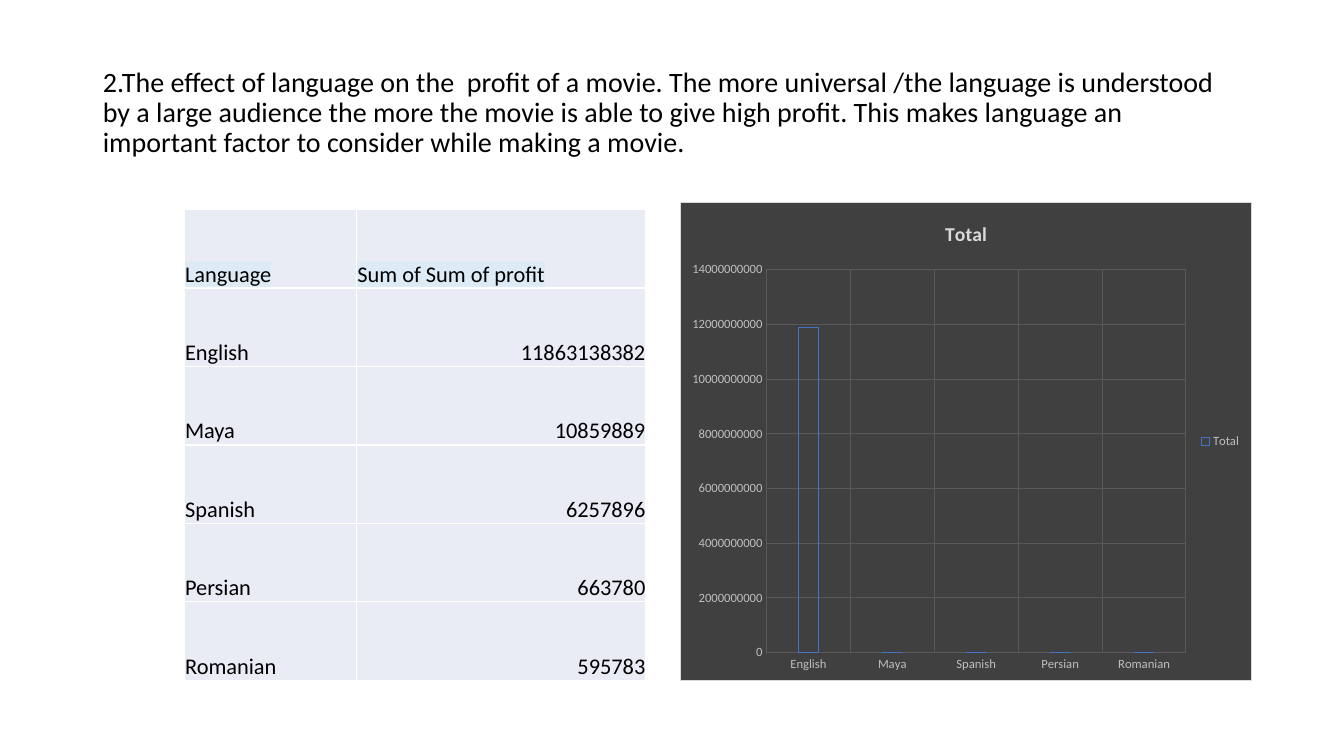
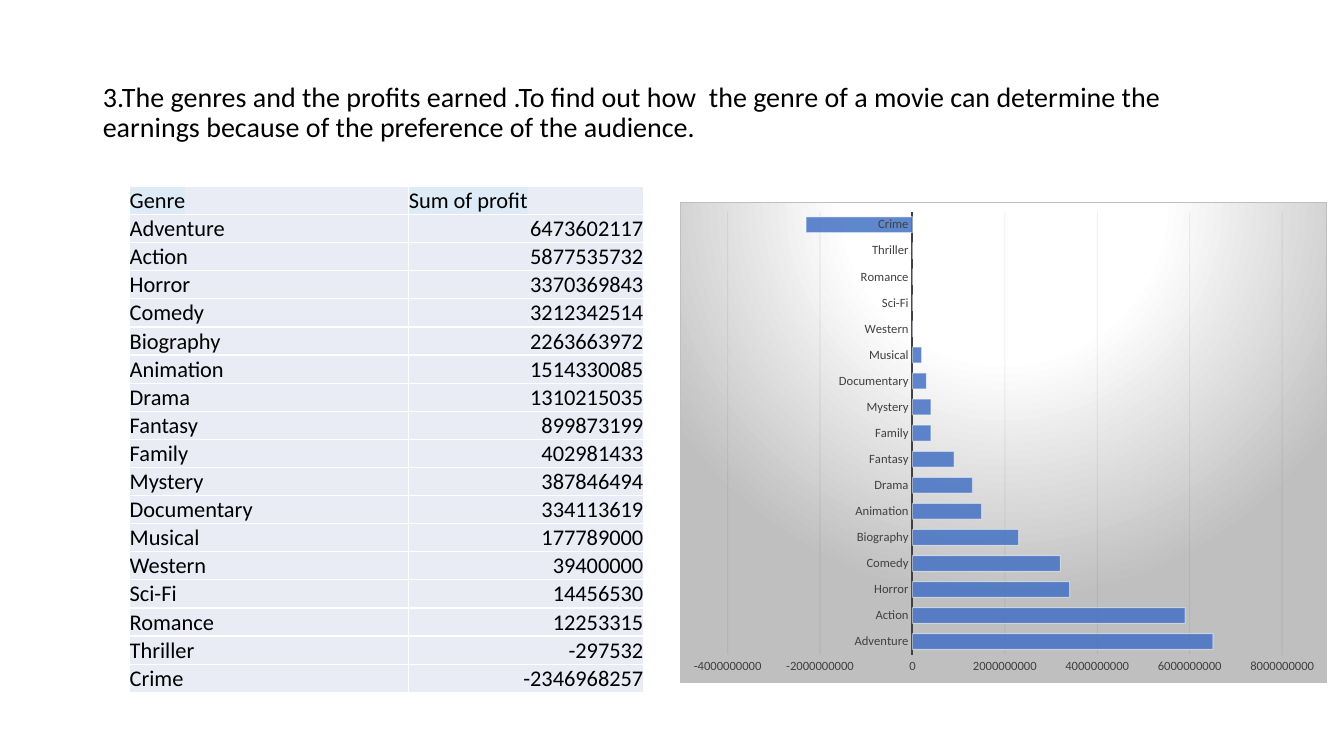
from lxml import etree
from pptx import Presentation
from pptx import util as u
from pptx.chart.data import CategoryChartData
from pptx.dml.color import RGBColor
from pptx.enum import chart as ch, text
from pptx.oxml import parse_xml
from pptx.oxml.ns import nsdecls, qn

FONT = "Calibri"
C = {"text": "000000", "cell": "E9EBF5", "header": "DDEBF7", "bar": "4472C4",
     "dark": "404040", "grid": "595959", "silver": "BFBFBF", "pale": "D9D9D9",
     "ink": "0D0D0D", "white": "FFFFFF"}
SLIDE_SIZE = (40 / 3, 7.5)
TITLE_BOX = (0.92, 0.4, 11.5, 1.45)
CELL_MARGINS = {"margin_left": 0.5, "margin_top": 0.5, "margin_right": 0.5, "margin_bottom": 0}

DARK_FILL = f'<a:solidFill><a:srgbClr val="{C["dark"]}"/></a:solidFill>'
GLOW_FILL = (
    '<a:gradFill><a:gsLst>'
    + "".join(f'<a:gs pos="{pos * 1000}"><a:srgbClr val="{C[name]}"/></a:gs>'
              for pos, name in ((0, "white"), (39, "white"), (100, "silver")))
    + '</a:gsLst><a:path path="circle">'
      '<a:fillToRect l="50000" t="-80000" r="50000" b="180000"/></a:path></a:gradFill>')

SLIDES = [
    {"title": "2.The effect of language on the  profit of a movie. The more universal "
              "/the language is understood by a large audience the more the movie is able "
              "to give high profit. This makes language an important factor to consider "
              "while making a movie.",
     "header": ("Language", "Sum of Sum of profit"),
     "rows": [("English", 11863138382), ("Maya", 10859889), ("Spanish", 6257896),
              ("Persian", 663780), ("Romanian", 595783)],
     "table": {"at": (1.83, 2.08), "cols": (1.71, 2.87), "height": 4.67},
     "chart": {"type": ch.XL_CHART_TYPE.COLUMN_CLUSTERED, "box": (6.75, 2, 5.67, 4.76),
               "series": "Total", "heading": True, "gap": 315, "overlap": -40,
               "scale": (0, 14e9), "fill": DARK_FILL, "border": "pale",
               "label": "silver", "grid": ("grid", 100), "cat_grid": True,
               "bar": None, "outline": ("bar", 100), "axis": None}},
    {"title": "3.The genres and the profits earned .To find out how  the genre of a movie "
              "can determine the earnings because of the preference of the audience.",
     "header": ("Genre", "Sum of profit"),
     "rows": [("Adventure", 6473602117), ("Action", 5877535732), ("Horror", 3370369843),
              ("Comedy", 3212342514), ("Biography", 2263663972),
              ("Animation", 1514330085), ("Drama", 1310215035), ("Fantasy", 899873199),
              ("Family", 402981433), ("Mystery", 387846494), ("Documentary", 334113619),
              ("Musical", 177789000), ("Western", 39400000), ("Sci-Fi", 14456530),
              ("Romance", 12253315), ("Thriller", -297532), ("Crime", -2346968257)],
     "table": {"at": (1.28, 1.85), "cols": (2.77, 2.34), "height": 4.92},
     "chart": {"type": ch.XL_CHART_TYPE.BAR_CLUSTERED, "box": (6.75, 2, 6.42, 4.78),
               "series": "Series 1", "heading": False, "gap": 65, "overlap": 0,
               "scale": (-4e9, 8e9), "fill": GLOW_FILL, "border": "silver",
               "label": "dark", "grid": ("ink", 5), "cat_grid": False,
               "bar": ("bar", 85), "outline": ("white", 50), "axis": "dark"}},
]


def inches(values):
    return [u.Inches(v) for v in values]


def style_font(font, size, color, bold=False):
    for key, value in {"name": FONT, "size": u.Pt(size), "bold": bold}.items():
        setattr(font, key, value)
    font.color.rgb = RGBColor.from_string(C[color])


def paint(fill, color, opacity=100):
    fill.solid()
    fill.fore_color.rgb = RGBColor.from_string(C[color])
    if opacity < 100:
        # python-pptx keeps the fill's XML under _xPr
        for clr in fill._xPr.find(qn("a:solidFill")):
            etree.SubElement(clr, qn("a:alpha")).set("val", str(opacity * 1000))


def draw_line(line, color, opacity=100, width=0.75):
    line.width = u.Pt(width)
    paint(line.fill, color, opacity)


def add_title(s, words):
    sp = s.shapes.title
    sp.left, sp.top, sp.width, sp.height = inches(TITLE_BOX)
    tf = sp.text_frame
    tf.vertical_anchor = text.MSO_ANCHOR.MIDDLE
    p = tf.paragraphs[0]
    p.alignment, p.line_spacing = text.PP_ALIGN.LEFT, 0.9
    r = p.add_run()
    r.text = words
    style_font(r.font, 20, "text")


def highlight(r, color):
    mark = parse_xml(f'<a:highlight {nsdecls("a")}><a:srgbClr val="{C[color]}"/></a:highlight>')
    r.font._element.find(qn("a:solidFill")).addnext(mark)


def border_cell(cell, color):
    """Draw a 1 pt line on all four sides; borders precede the fill in tcPr."""
    for i, side in enumerate("LRTB"):
        cell._tc.get_or_add_tcPr().insert(i, parse_xml(
            f'<a:ln{side} {nsdecls("a")} w="12700"><a:solidFill>'
            f'<a:srgbClr val="{C[color]}"/></a:solidFill></a:ln{side}>'))


def add_profit_table(s, header, rows, at, cols, height):
    lines = [header, *rows]
    tbl = s.shapes.add_table(len(lines), len(cols),
                             *inches((*at, sum(cols), height))).table
    tbl.first_row = tbl.horz_banding = False
    for column, width in zip(tbl.columns, inches(cols)):
        column.width = width
    for i, line in enumerate(lines):
        for j, value in enumerate(line):
            cell = tbl.cell(i, j)
            paint(cell.fill, "cell")
            border_cell(cell, "white")
            cell.vertical_anchor = text.MSO_ANCHOR.BOTTOM
            for side, margin in CELL_MARGINS.items():
                setattr(cell, side, u.Pt(margin))
            p = cell.text_frame.paragraphs[0]
            r = p.add_run()
            r.text = str(value)
            style_font(r.font, 16, "text")
            if i == 0:
                highlight(r, "header")
            elif j == 1:
                p.alignment = text.PP_ALIGN.RIGHT


def fill_chart_area(chart, fill_xml, border):
    area = parse_xml(
        f'<c:spPr {nsdecls("c", "a")}>{fill_xml}<a:ln w="9525"><a:solidFill>'
        f'<a:srgbClr val="{C[border]}"/></a:solidFill></a:ln></c:spPr>')
    chart._chartSpace.find(qn("c:txPr")).addprevious(area)


def format_axis(axis, look, grid, line):
    axis.major_tick_mark = axis.minor_tick_mark = ch.XL_TICK_MARK.NONE
    style_font(axis.tick_labels.font, 9, look["label"])
    axis.has_major_gridlines = grid
    if grid:
        draw_line(axis.major_gridlines.format.line, *look["grid"])
    if line:
        draw_line(axis.format.line, line, width=1.5)
    else:
        axis.format.line.fill.background()


def add_profit_chart(s, rows, look):
    """Chart the profits, rounded to the nearest hundred million."""
    data = CategoryChartData()
    data.categories = [name for name, _ in rows]
    data.add_series(look["series"], [round(profit, -8) for _, profit in rows])
    chart = s.shapes.add_chart(look["type"], *inches(look["box"]), data).chart
    style_font(chart.font, 10, "text")
    fill_chart_area(chart, look["fill"], look["border"])

    chart.has_title = chart.has_legend = look["heading"]
    if look["heading"]:
        p = chart.chart_title.text_frame.paragraphs[0]
        r = p.add_run()
        r.text = look["series"]
        style_font(r.font, 14, "pale", bold=True)
        chart.legend.position = ch.XL_LEGEND_POSITION.RIGHT
        chart.legend.include_in_layout = False
        style_font(chart.legend.font, 9, look["label"])

    format_axis(chart.category_axis, look, look["cat_grid"], look["axis"])
    format_axis(chart.value_axis, look, True, None)
    low, high = look["scale"]
    for key, value in {"minimum_scale": low, "maximum_scale": high, "major_unit": 2e9}.items():
        setattr(chart.value_axis, key, value)

    plot = chart.plots[0]
    plot.gap_width, plot.overlap, plot.vary_by_categories = look["gap"], look["overlap"], False
    bars = plot.series[0]
    bars.invert_if_negative = False
    if look["bar"]:
        paint(bars.format.fill, *look["bar"])
    else:
        bars.format.fill.background()
    draw_line(bars.format.line, *look["outline"])


def main():
    prs = Presentation()
    prs.slide_width, prs.slide_height = inches(SLIDE_SIZE)
    for content in SLIDES:
        s = prs.slides.add_slide(prs.slide_layouts[5])
        add_title(s, content["title"])
        add_profit_table(s, content["header"], content["rows"], **content["table"])
        add_profit_chart(s, content["rows"], content["chart"])
    prs.save("out.pptx")


if __name__ == "__main__":
    main()
